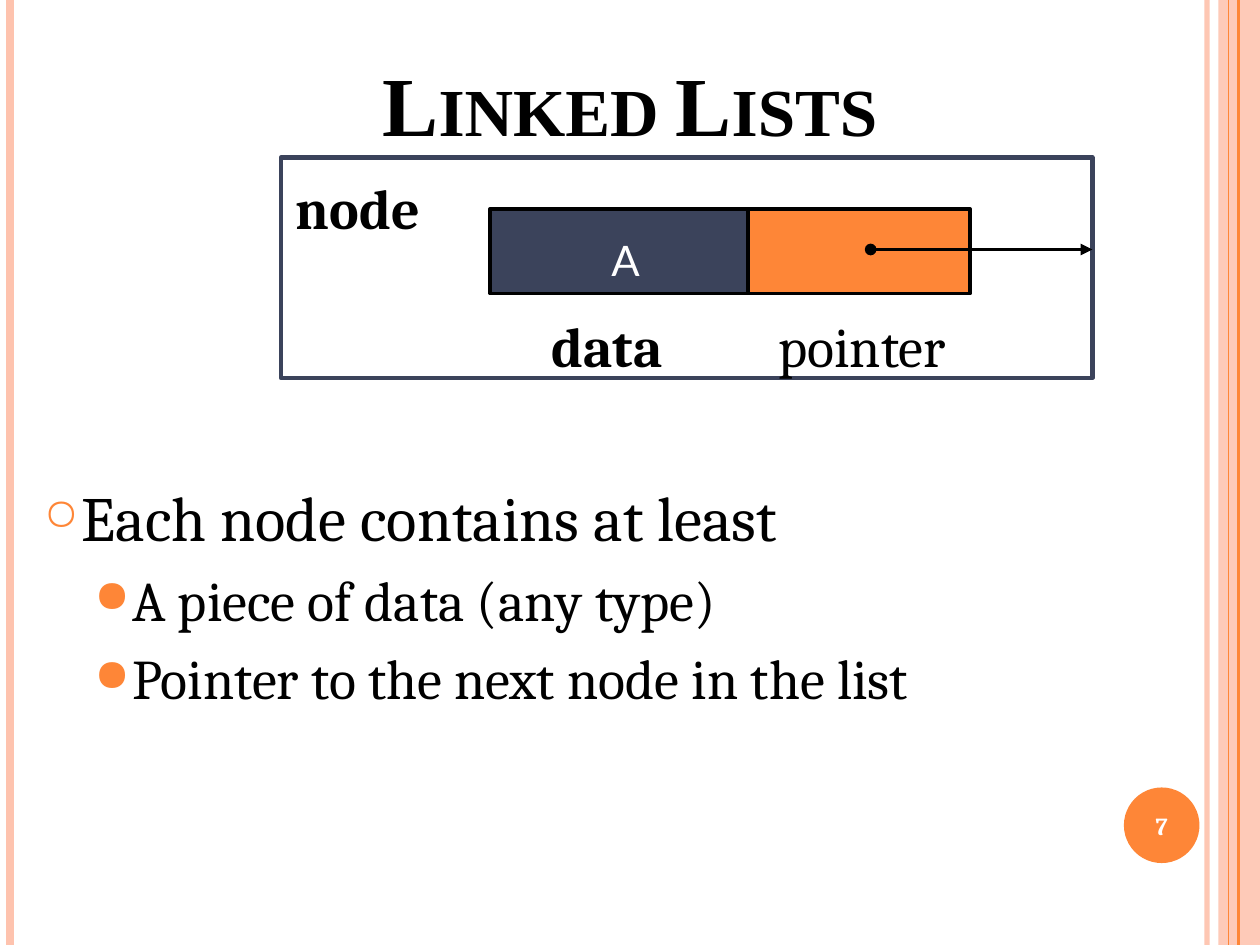
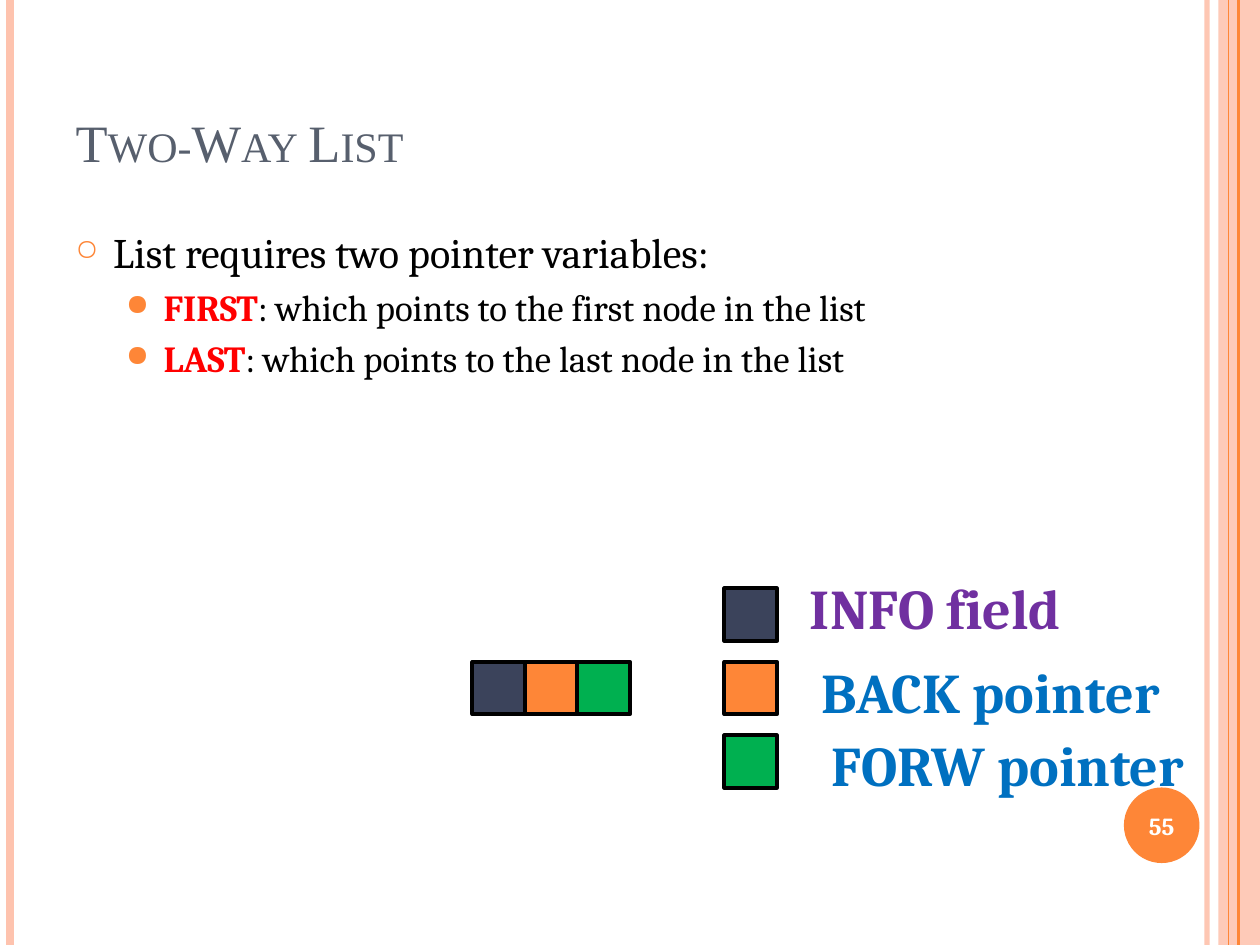
from lxml import etree
from pptx import Presentation
from pptx.dml.color import RGBColor
from pptx.enum.shapes import MSO_CONNECTOR, MSO_SHAPE
from pptx.enum.text import MSO_ANCHOR, MSO_AUTO_SIZE, PP_ALIGN
from pptx.oxml.ns import qn
from pptx.util import Inches, Pt

RECTANGLE, OVAL = MSO_SHAPE.RECTANGLE, MSO_SHAPE.OVAL
STRAIGHT = MSO_CONNECTOR.STRAIGHT
MIDDLE, BOTTOM = MSO_ANCHOR.MIDDLE, MSO_ANCHOR.BOTTOM
LEFT, CENTER = PP_ALIGN.LEFT, PP_ALIGN.CENTER

ORANGE, PEACH, NAVY, GREEN = "FE8637", "FEC3AE", "3B435B", "00B050"
BLACK, WHITE, GRAY, RED = "000000", "FFFFFF", "575F6D", "FF0000"
PURPLE, BLUE = "7030A0", "0070C0"
BODY_FONT, TITLE_FONT = "Cambria", "Times New Roman"
WIDTH, HEIGHT = 10, 7.5
color = RGBColor.from_string


def add_box(slide, kind, at, fill=None, line=None, line_width=2.25):
    shape = slide.shapes.add_shape(kind, *(Inches(length) for length in at))
    shape.shadow.inherit = False
    if fill:
        shape.fill.solid()
        shape.fill.fore_color.rgb = color(fill)
    else:
        shape.fill.background()
    if line:
        shape.line.color.rgb = color(line)
        shape.line.width = Pt(line_width)
    else:
        shape.line.fill.background()
    return shape


def style(font, size, text_color, bold=False, name=BODY_FONT):
    font.size, font.bold, font.name = Pt(size), bold, name
    font.color.rgb = color(text_color)


presentation = Presentation()
presentation.slide_width, presentation.slide_height = Inches(WIDTH), Inches(HEIGHT)
title_only = presentation.slide_layouts[5]
node_slide = presentation.slides.add_slide(title_only)
two_way_slide = presentation.slides.add_slide(title_only)

# Side bands and number badge on every slide: x, colour, width, opacity
band_lines = [(9.58, PEACH, 3, 93), (0.08, PEACH, 4.5, 100),
              (9.83, ORANGE, 1.5, 100), (9.75, ORANGE, 0.75, 100)]
for slide, number in [(node_slide, "7"), (two_way_slide, "55")]:
    band = add_box(slide, RECTANGLE, (9.67, 0, 0.33, HEIGHT), PEACH)
    tints = [(band, 87)]
    for x, line_color, line_width, opacity in band_lines:
        line = slide.shapes.add_connector(STRAIGHT, Inches(x), 0, Inches(x), Inches(HEIGHT))
        line.line.color.rgb = color(line_color)
        line.line.width = Pt(line_width)
        etree.SubElement(line.element.spPr, qn("a:effectLst"))
        tints.append((line, opacity))
    for shape, opacity in tints:
        if opacity < 100:
            tint = shape.element.spPr.find(".//" + qn("a:srgbClr"))
            etree.SubElement(tint, qn("a:alpha"), val=str(opacity * 1000))

    badge = add_box(slide, OVAL, (8.92, 6.25, 0.6, 0.6), ORANGE)
    frame = badge.text_frame
    frame.margin_left = frame.margin_right = 0
    frame.vertical_anchor = MIDDLE
    frame.text = number
    frame.paragraphs[0].alignment = CENTER
    style(frame.paragraphs[0].runs[0].font, 14, WHITE, True)

# Titles in small capitals
titles = [
    (node_slide, "Linked Lists", 0.95, 48, BLACK, True, CENTER, MIDDLE, 0.13),
    (two_way_slide, "Two-Way List", 1.12, 30, GRAY, False, LEFT, BOTTOM, 0.05),
]
for slide, text, height, size, text_color, bold, alignment, anchor, inset in titles:
    title = slide.shapes.title
    title.left, title.top = Inches(0.5), Inches(0.3)
    title.width, title.height = Inches(9), Inches(height)
    frame = title.text_frame
    frame.text = text
    frame.auto_size = MSO_AUTO_SIZE.NONE
    frame.vertical_anchor, frame.margin_top = anchor, Inches(inset)
    frame.paragraphs[0].alignment = alignment
    run = frame.paragraphs[0].runs[0]
    style(run.font, size, text_color, bold, TITLE_FONT)
    run.font._element.set("cap", "small")

# Bulleted text: each paragraph is a level and its (text, colour, bold) runs
bodies = [
    (node_slide, (0.25, 3.75, 8.58, 3.08), (36, 32), [
        (0, [("Each node contains at least", BLACK, False)]),
        (1, [("A piece of data (any type)", BLACK, False)]),
        (1, [("Pointer to the next node in the list", BLACK, False)])]),
    (two_way_slide, (0.5, 1.75, 8.17, 5.33), (24, 21), [
        (0, [("List requires two pointer variables:", BLACK, False)]),
        (1, [("FIRST", RED, True),
             (": which points to the first node in the list", BLACK, False)]),
        (1, [("LAST", RED, True),
             (": which points to the last node in the list", BLACK, False)])]),
]
bullets = [("○", 70, 0.3), ("●", 80, 0.7)]
for slide, at, sizes, items in bodies:
    frame = slide.shapes.add_textbox(*(Inches(length) for length in at)).text_frame
    frame.word_wrap = True
    for index, (level, runs) in enumerate(items):
        paragraph = frame.add_paragraph() if index else frame.paragraphs[0]
        paragraph.level = level
        if index:
            paragraph.space_before = Pt(sizes[level] * 0.2)
        character, percent, indent = bullets[level]
        properties = paragraph._p.get_or_add_pPr()
        properties.set("marL", str(Inches(indent)))
        properties.set("indent", str(Inches(-0.3)))
        bullet_color = etree.SubElement(properties, qn("a:buClr"))
        etree.SubElement(bullet_color, qn("a:srgbClr"), val=ORANGE)
        etree.SubElement(properties, qn("a:buSzPct"), val=str(percent * 1000))
        etree.SubElement(properties, qn("a:buChar"), char=character)
        for text, text_color, bold in runs:
            run = paragraph.add_run()
            run.text = text
            style(run.font, sizes[level], text_color, bold)

# Node diagram: frame with a data cell and a pointer cell
add_box(node_slide, RECTANGLE, (2.23, 1.25, 6.44, 1.75), line=NAVY, line_width=2.5)
add_box(node_slide, RECTANGLE, (5.94, 1.66, 1.76, 0.67), ORANGE, BLACK)
add_box(node_slide, RECTANGLE, (3.89, 1.66, 2.05, 0.67), NAVY, BLACK)

# Two-way node: three joined cells, and a legend of the same colours
CELL = WIDTH / 24
ROW_STEP = 1.4 * CELL
legend_top = 4.67
cell_colors = [NAVY, ORANGE, GREEN]
for index in (1, 0, 2):
    add_box(two_way_slide, RECTANGLE,
            ((9 + index) * CELL, legend_top + ROW_STEP, CELL, CELL), cell_colors[index], BLACK)
for row, cell_color in enumerate(cell_colors):
    add_box(two_way_slide, RECTANGLE,
            (5.75, legend_top + row * ROW_STEP, CELL, CELL), cell_color, BLACK)

# Labels of both diagrams
labels = [
    (node_slide, "data", (4.28, 2.42, 1.32, 0.64), 32, BLACK, True, BODY_FONT),
    (node_slide, "pointer", (6.08, 2.42, 1.9, 0.64), 32, BLACK, False, BODY_FONT),
    (node_slide, "node", (2.25, 1.33, 2.53, 0.64), 32, BLACK, True, BODY_FONT),
    (node_slide, "A", (4.61, 1.81, 0.71, 0.51), 24, WHITE, False, "Lato"),
    (two_way_slide, "INFO field", (6.33, 4.5, 2.92, 0.64), 32, PURPLE, True, BODY_FONT),
    (two_way_slide, "BACK pointer", (6.42, 5.17, 3.33, 0.64), 32, BLUE, True, BODY_FONT),
    (two_way_slide, "FORW pointer", (6.5, 5.75, 3.33, 0.64), 32, BLUE, True, BODY_FONT),
]
for slide, text, at, size, text_color, bold, font_name in labels:
    frame = slide.shapes.add_textbox(*(Inches(length) for length in at)).text_frame
    frame.word_wrap = True
    frame.text = text
    paragraph = frame.paragraphs[0]
    paragraph.alignment = CENTER if text == "A" else LEFT
    style(paragraph.runs[0].font, size, text_color, bold, font_name)

# Arrow from the pointer cell to the next node
arrow = node_slide.shapes.add_connector(
    STRAIGHT, Inches(6.91), Inches(1.98), Inches(8.67), Inches(1.98))
arrow.line.color.rgb = color(BLACK)
arrow.line.width = Pt(2.25)
outline = arrow.element.spPr.find(qn("a:ln"))
etree.SubElement(outline, qn("a:headEnd"), type="oval")
etree.SubElement(outline, qn("a:tailEnd"), type="triangle")
etree.SubElement(arrow.element.spPr, qn("a:effectLst"))

presentation.save("out.pptx")
